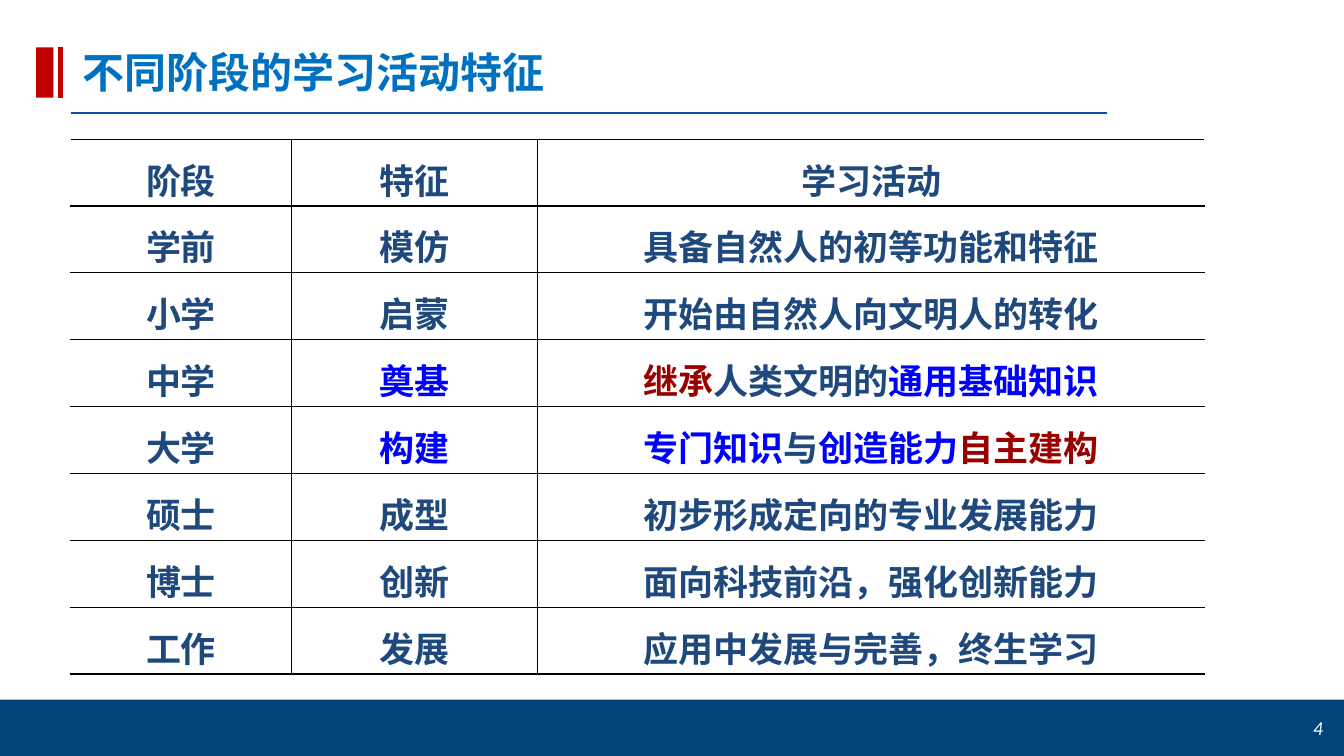
from lxml import etree
from pptx import Presentation
from pptx import util as u
from pptx.dml.color import RGBColor
from pptx.enum import shapes, text
from pptx.oxml.ns import qn

PX = 9144  # 100 px to the inch
COLOURS = {
    "navy": "1F497D", "blue": "0000FF", "crimson": "990000", "title": "0070C0",
    "band": "00447C", "rule": "0B4DA2", "red": "C00000",
    "white": "FFFFFF", "black": "000000",
}
SERIF = "Times New Roman"
TITLE_FONT = {"name": SERIF, "size": u.Pt(30), "bold": True}
CELL_FONT = {"name": SERIF, "size": u.Pt(25), "bold": True}
NUMBER_FONT = {"name": "Calibri", "size": u.Pt(14), "italic": True}
LEFT, CENTRE, RIGHT = (text.PP_ALIGN.LEFT, text.PP_ALIGN.CENTER, text.PP_ALIGN.RIGHT)

COLUMNS = (219, 244, 662)
# A cell is a string, or a list of (words, colour) spans.
STAGES = [
    ("阶段", "特征", "学习活动"),
    ("学前", "模仿", "具备自然人的初等功能和特征"),
    ("小学", "启蒙", "开始由自然人向文明人的转化"),
    ("中学", [("奠基", "blue")],
     [("继承", "crimson"), ("人类文明的", "navy"), ("通用基础知识", "blue")]),
    ("大学", [("构建", "blue")],
     [("专门知识", "blue"), ("与", "navy"), ("创造能力", "blue"), ("自主建构", "crimson")]),
    ("硕士", "成型", "初步形成定向的专业发展能力"),
    ("博士", "创新", "面向科技前沿，强化创新能力"),
    ("工作", "发展", "应用中发展与完善，终生学习"),
]


def rgb(colour):
    return RGBColor.from_string(COLOURS[colour])


def emu(*lengths):
    return [u.Emu(length * PX) for length in lengths]


def set_all(target, values):
    for name, value in values.items():
        setattr(target, name, value)


def write(para, spans, font, **layout):
    set_all(para, layout)
    for words, colour in spans:
        span = para.add_run()
        span.text = words
        set_all(span.font, font)
        span.font.color.rgb = rgb(colour)


def add_block(page, box, colour):
    block = page.shapes.add_shape(shapes.MSO_SHAPE.RECTANGLE, *emu(*box))
    block.shadow.inherit = False
    block.fill.solid()
    block.fill.fore_color.rgb = rgb(colour)
    block.line.fill.background()


def add_rule(page, ends, colour, points):
    rule = page.shapes.add_connector(shapes.MSO_CONNECTOR.STRAIGHT, *emu(*ends))
    rule.line.color.rgb = rgb(colour)
    rule.line.width = u.Pt(points)
    etree.SubElement(rule._element.spPr, qn("a:effectLst"))


def add_heading(page, box, words):
    left, top, width, height = box
    add_rule(page, (left - 2, top + 87, left + width, top + 87), "rule", 1.5)
    add_block(page, (left - 36, top + 22, 17, 50), "red")
    add_rule(page, (left - 12, top + 22, left - 12, top + 72), "red", 3)
    title = page.shapes.title
    set_all(title, dict(zip(("left", "top", "width", "height"), emu(*box))))
    set_all(title.text_frame, {"auto_size": text.MSO_AUTO_SIZE.NONE, "word_wrap": True,
                               "vertical_anchor": text.MSO_ANCHOR.MIDDLE})
    write(title.text_frame.paragraphs[0], [(words, "title")], TITLE_FONT,
          alignment=LEFT, line_spacing=1.14, space_before=u.Pt(3))


def add_footer(page, box, number):
    left, top, width, height = box
    add_block(page, box, "band")
    label = page.shapes.add_textbox(*emu(left + width - 154, top + 8, 143, 40))
    set_all(label.text_frame, {"word_wrap": True, "vertical_anchor": text.MSO_ANCHOR.MIDDLE})
    write(label.text_frame.paragraphs[0], [(number, "white")], NUMBER_FONT, alignment=RIGHT)


def set_borders(cell, **sides):
    """Draw one-point borders; sides come in schema order: L, R, T, B."""
    props = cell._tc.get_or_add_tcPr()
    for place, (side, colour) in enumerate(sides.items()):
        line = etree.Element(qn(f"a:ln{side}"), w=str(u.Pt(1)))
        fill = etree.SubElement(line, qn("a:solidFill"))
        etree.SubElement(fill, qn("a:srgbClr"), val=COLOURS[colour])
        props.insert(place, line)


def add_stage_table(page, box):
    last = len(COLUMNS) - 1
    table = page.shapes.add_table(len(STAGES), len(COLUMNS), *emu(*box)).table
    set_all(table, {"first_row": False, "horz_banding": False})
    for column, width in zip(table.columns, emu(*COLUMNS)):
        column.width = width
    for r, stage in enumerate(STAGES):
        for c, content in enumerate(stage):
            cell = table.cell(r, c)
            margin, none = emu(7, 0)
            set_all(cell, {"margin_left": margin, "margin_right": margin,
                           "margin_top": none, "margin_bottom": none,
                           "vertical_anchor": text.MSO_ANCHOR.MIDDLE})
            cell.fill.background()
            set_borders(cell, L="white" if c == 0 else "black",
                        R="white" if c == last else "black", T="black", B="black")
            spans = [(content, "navy")] if isinstance(content, str) else content
            write(cell.text_frame.paragraphs[0], spans, CELL_FONT,
                  alignment=CENTRE, line_spacing=1.25, space_before=u.Pt(3))


def main():
    deck = Presentation()
    deck.slide_width, deck.slide_height = emu(1333, 750)
    page = deck.slides.add_slide(deck.slide_layouts.get_by_name("Title Only"))
    add_footer(page, (0, 694, 1333, 56), "4")
    add_heading(page, (72, 25, 1026, 86), "不同阶段的学习活动特征")
    add_stage_table(page, (70, 138, sum(COLUMNS), 531))
    deck.save("out.pptx")


if __name__ == "__main__":
    main()
